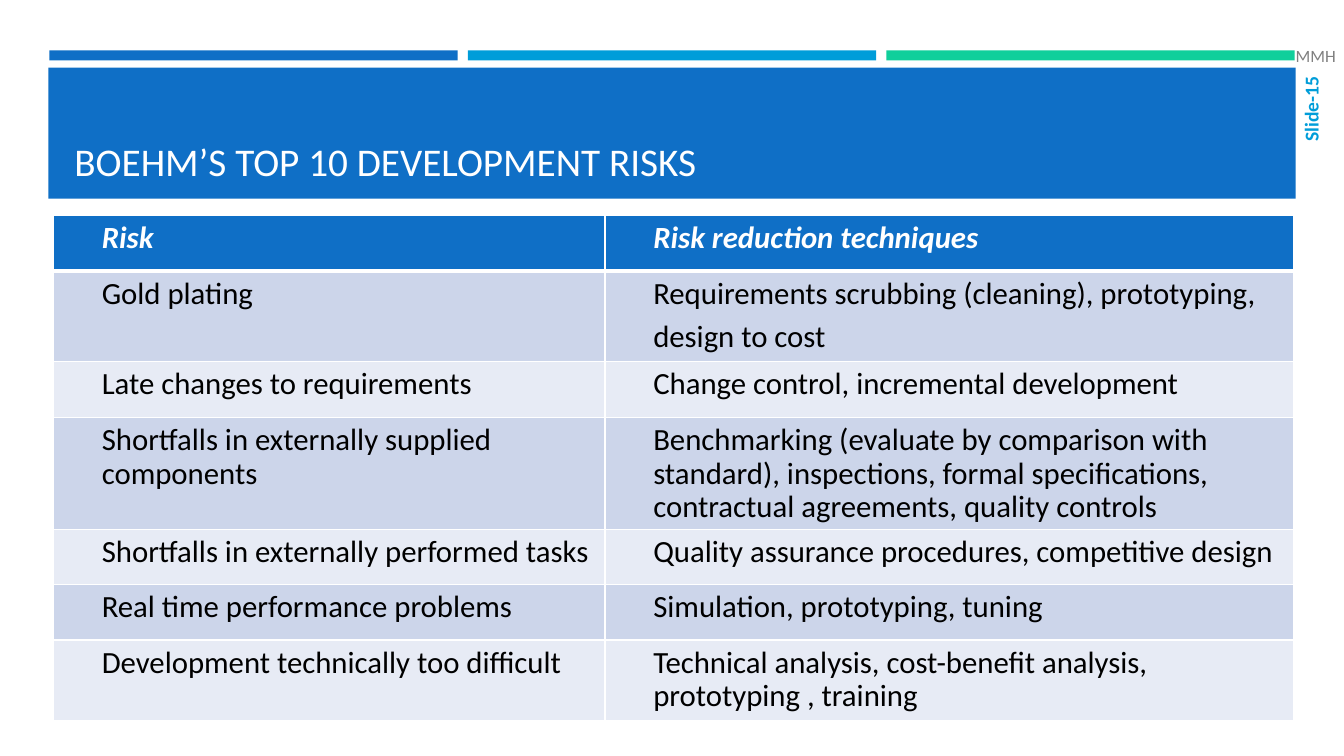
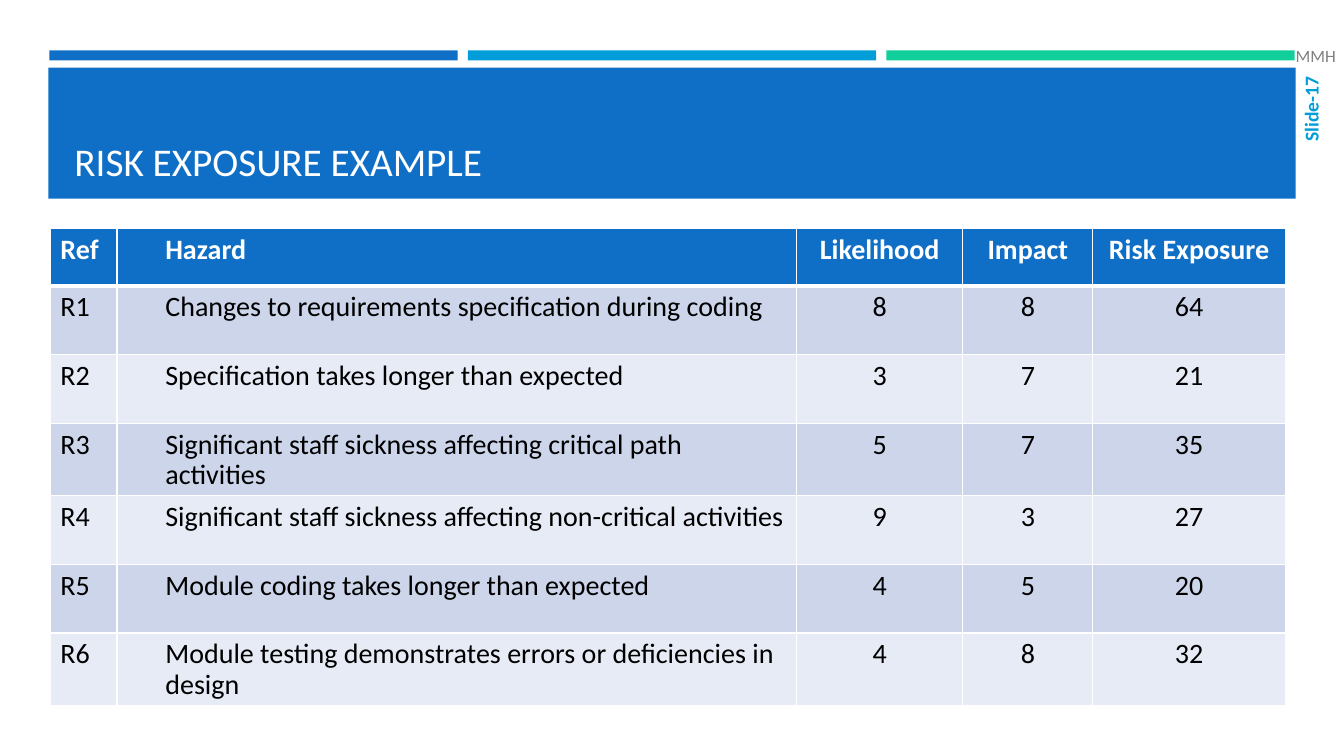
from lxml import etree
from pptx import Presentation
from pptx.dml.color import RGBColor
from pptx.enum.shapes import MSO_SHAPE
from pptx.enum.text import MSO_ANCHOR, PP_ALIGN
from pptx.oxml.ns import qn
from pptx.util import Inches, Pt

RECT = MSO_SHAPE.RECTANGLE
MIDDLE, BOTTOM = MSO_ANCHOR.MIDDLE, MSO_ANCHOR.BOTTOM
LEFT, CENTER, RIGHT = PP_ALIGN.LEFT, PP_ALIGN.CENTER, PP_ALIGN.RIGHT

BLUE = RGBColor(0x0F, 0x6F, 0xC6)
CYAN = RGBColor(0x00, 0x9D, 0xD9)
GREEN = RGBColor(0x10, 0xCF, 0x9B)
GRAY = RGBColor(0x80, 0x80, 0x80)
WHITE = RGBColor(0xFF, 0xFF, 0xFF)
BLACK = RGBColor(0x00, 0x00, 0x00)
BAND_DARK = RGBColor(0xCC, 0xD5, 0xEA)
BAND_LIGHT = RGBColor(0xE7, 0xEB, 0xF5)

FONT = "Calibri"
INDENT = 0.38

RISKS = [
    ("Risk", "Risk reduction techniques"),
    ("Gold plating",
     "Requirements scrubbing (cleaning), prototyping,\ndesign to cost"),
    ("Late changes to requirements", "Change control, incremental development"),
    ("Shortfalls in externally supplied components",
     "Benchmarking (evaluate by comparison with standard), inspections, "
     "formal specifications, contractual agreements, quality controls"),
    ("Shortfalls in externally performed tasks",
     "Quality assurance procedures, competitive design"),
    ("Real time performance problems", "Simulation, prototyping, tuning"),
    ("Development technically too difficult",
     "Technical analysis, cost-benefit analysis, prototyping , training"),
]

HAZARDS = [
    ("Ref", "Hazard", "Likelihood", "Impact", "Risk Exposure"),
    ("R1", "Changes to requirements specification during coding", "8", "8", "64"),
    ("R2", "Specification takes longer than expected", "3", "7", "21"),
    ("R3", "Significant staff sickness affecting critical path activities",
     "5", "7", "35"),
    ("R4", "Significant staff sickness affecting non-critical activities",
     "9", "3", "27"),
    ("R5", "Module coding takes longer than expected", "4", "5", "20"),
    ("R6", "Module testing demonstrates errors or deficiencies in design",
     "4", "8", "32"),
]


def format_runs(p, size, color, bold=False, italic=False):
    for r in p.runs:
        r.font.name = FONT
        r.font.size = Pt(size)
        r.font.color.rgb = color
        r.font.bold = bold
        r.font.italic = italic


def add_bar(s, box, color):
    bar = s.shapes.add_shape(RECT, *map(Inches, box))
    bar.shadow.inherit = False
    bar.fill.solid()
    bar.fill.fore_color.rgb = color
    bar.line.fill.background()


def add_text(s, box, text, size, color, anchor, align=LEFT, bold=False,
             sides=(0.1, 0.1)):
    tb = s.shapes.add_textbox(*map(Inches, box))
    tf = tb.text_frame
    tf.word_wrap = True
    tf.vertical_anchor = anchor
    tf.margin_left, tf.margin_right = map(Inches, sides)
    tf.text = text
    p = tf.paragraphs[0]
    p.alignment = align
    format_runs(p, size, color, bold)
    return tb


def add_frame(s, title, number):
    left, top, width = 0.49, 0.5, 4.05
    for i, color in enumerate((BLUE, CYAN, GREEN)):
        add_bar(s, (left + i * (width + 0.1), top, width, 0.1), color)
    add_bar(s, (0.48, 0.67, 12.37, 1.3), BLUE)
    add_text(s, (0.64, 0.77, 12.06, 1.11), title, 28, WHITE, BOTTOM)
    tag = add_text(s, (12.87, 0.66, 0.26, 1.03), f"Slide-{number}", 14, CYAN,
                   MIDDLE, RIGHT, True, (0, 0))
    tag.text_frame._txBody.bodyPr.set("vert", "vert270")
    add_text(s, (12.67, 0.4, 0.7, 0.3), "MMH", 12.3, GRAY, MIDDLE,
             sides=(0.18, 0))


def set_borders(cell, top, bottom):
    tcPr = cell._tc.get_or_add_tcPr()
    widths = {"a:lnL": 1, "a:lnR": 1, "a:lnT": top, "a:lnB": bottom}
    for i, (tag, width) in enumerate(widths.items()):
        ln = etree.Element(qn(tag), w=str(Pt(width)))
        fill = etree.SubElement(ln, qn("a:solidFill"))
        etree.SubElement(fill, qn("a:srgbClr"), val=str(WHITE))
        tcPr.insert(i, ln)


def fill_cell(cell, text, row, size, align, indent, italic):
    header = row == 0
    cell.margin_left = Inches(0.1 + indent)
    cell.margin_right = Inches(0.1)
    cell.margin_top = cell.margin_bottom = Inches(0.06)
    cell.fill.solid()
    cell.fill.fore_color.rgb = (
        BLUE if header else BAND_DARK if row % 2 else BAND_LIGHT)
    set_borders(cell, 3 if row == 1 else 1, 3 if header else 1)
    cell.text_frame.text = text
    for p in cell.text_frame.paragraphs:
        p.alignment = align
        p.line_spacing = 0.9
        p.space_before = Pt(0.3 * size)
        format_runs(p, size, WHITE if header else BLACK, header,
                    header and italic)


def add_grid(s, left, top, columns, heights, rows, size, italic=False):
    widths = [width for width, _, _ in columns]
    box = (left, top, sum(widths), sum(heights))
    table = s.shapes.add_table(len(rows), len(columns), *map(Inches, box)).table
    for column, width in zip(table.columns, widths):
        column.width = Inches(width)
    for i, (height, texts) in enumerate(zip(heights, rows)):
        table.rows[i].height = Inches(height)
        for j, (text, (_, align, indent)) in enumerate(zip(texts, columns)):
            fill_cell(table.cell(i, j), text, i, size, align, indent, italic)


def add_risks_slide(prs):
    s = prs.slides.add_slide(prs.slide_layouts[6])
    add_frame(s, "BOEHM’S TOP 10 DEVELOPMENT RISKS", 15)
    columns = [(5.47, LEFT, INDENT), (6.83, LEFT, INDENT)]
    heights = [0.55, 0.9, 0.55, 1.11, 0.55, 0.55, 0.8]
    add_grid(s, 0.53, 2.14, columns, heights, RISKS, 22, italic=True)


def add_exposure_slide(prs):
    s = prs.slides.add_slide(prs.slide_layouts[6])
    add_frame(s, "RISK EXPOSURE EXAMPLE", 17)
    columns = [(0.66, LEFT, 0), (6.74, LEFT, INDENT), (1.65, CENTER, 0),
               (1.29, CENTER, 0), (1.91, CENTER, 0)]
    heights = [0.57] + [0.68] * 6
    add_grid(s, 0.5, 2.27, columns, heights, HAZARDS, 20)


def main():
    prs = Presentation()
    prs.slide_width, prs.slide_height = Inches(13.33), Inches(7.5)
    add_risks_slide(prs)
    add_exposure_slide(prs)
    prs.save("out.pptx")


if __name__ == "__main__":
    main()
